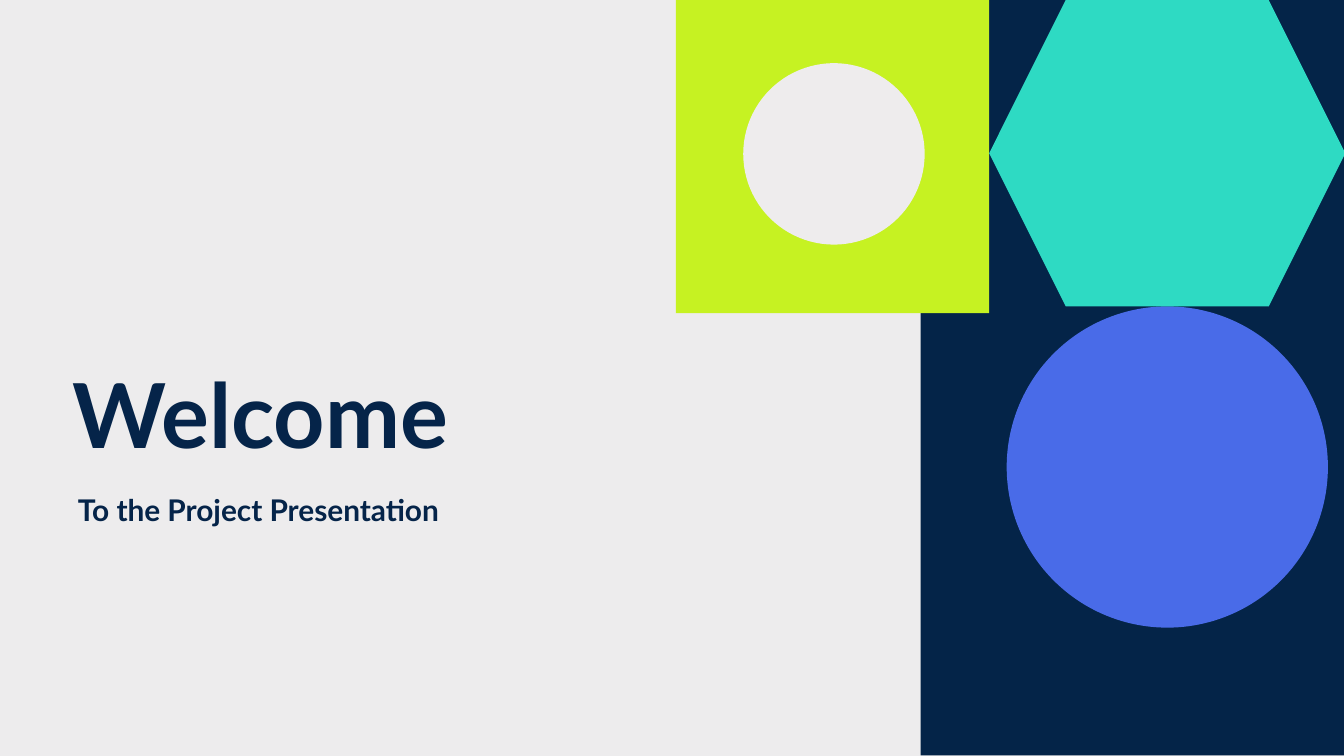
import pptx
import pptx.util
from pptx.dml.color import RGBColor
from pptx.enum.shapes import MSO_SHAPE
from pptx.enum.text import MSO_ANCHOR, PP_ALIGN
from pptx.util import Inches

SLIDE_WIDTH = 10
SLIDE_HEIGHT = SLIDE_WIDTH * 9 / 16

COLORS = {
    "background": "EDECED",
    "panel": "042448",
    "text": "052449",
    "lime": "C6F222",
    "pale": "EEECED",
    "blue": "496BE8",
    "teal": "2EDAC3",
}
FONT = "Lato"

# text, left, top, width, height, size
TITLE = ("Welcome", 0.54, 2.67, 6.3, 0.81, 48)
SUBTITLE = ("To the Project Presentation", 0.58, 3.66, 3.15, 0.27, 16)

# preset, left, top, width, height, color
DECORATIONS = [
    (MSO_SHAPE.RECTANGLE, 6.85, 0, 3.15, 5.62, "panel"),
    (MSO_SHAPE.RECTANGLE, 5.03, 0, 2.33, 2.33, "lime"),
    (MSO_SHAPE.OVAL, 5.53, 0.47, 1.35, 1.35, "pale"),
    (MSO_SHAPE.OVAL, 7.49, 2.28, 2.39, 2.39, "blue"),
    (MSO_SHAPE.HEXAGON, 7.36, 0, 2.65, 2.28, "teal"),
]


def color(name):
    return RGBColor.from_string(COLORS[name])


def add_decoration(slide, preset, left, top, width, height, fill):
    shape = slide.shapes.add_shape(
        preset, Inches(left), Inches(top), Inches(width), Inches(height))
    shape.shadow.inherit = False
    shape.fill.solid()
    shape.fill.fore_color.rgb = color(fill)
    shape.line.fill.background()
    if preset == MSO_SHAPE.HEXAGON:
        shape.adjustments[0] = 0.25


def write_text(shape, text, left, top, width, height, size):
    shape.left, shape.top = Inches(left), Inches(top)
    shape.width, shape.height = Inches(width), Inches(height)
    frame = shape.text_frame
    frame.word_wrap = True
    frame.vertical_anchor = MSO_ANCHOR.TOP
    frame.margin_left = frame.margin_right = 0
    frame.margin_top = frame.margin_bottom = 0
    paragraph = frame.paragraphs[0]
    paragraph.alignment = PP_ALIGN.LEFT
    paragraph.line_spacing = 1.0
    paragraph.space_before = pptx.util.Pt(0)
    run = paragraph.add_run()
    run.text = text
    run.font.name = FONT
    run.font.size = pptx.util.Pt(size)
    run.font.bold = True
    run.font.color.rgb = color("text")


def main():
    presentation = pptx.Presentation()
    presentation.slide_width = Inches(SLIDE_WIDTH)
    presentation.slide_height = Inches(SLIDE_HEIGHT)
    slide = presentation.slides.add_slide(presentation.slide_layouts[5])
    slide.background.fill.solid()
    slide.background.fill.fore_color.rgb = color("background")

    write_text(slide.shapes.title, *TITLE)
    for decoration in DECORATIONS:
        add_decoration(slide, *decoration)
    write_text(slide.shapes.add_textbox(0, 0, 0, 0), *SUBTITLE)

    presentation.save("out.pptx")


if __name__ == "__main__":
    main()
